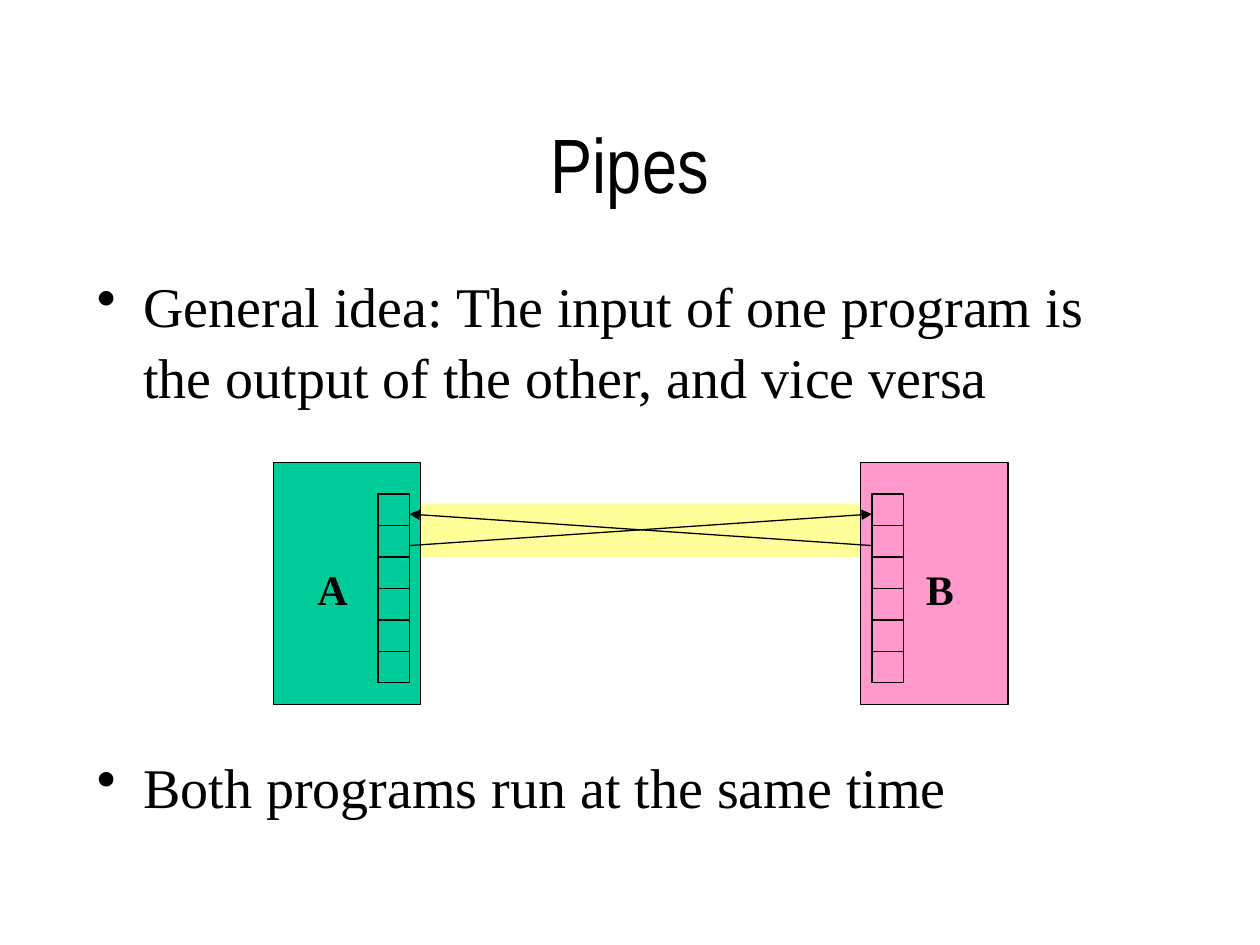
import pptx
import pptx.util
import pptx.dml.color
import pptx.enum.shapes
import pptx.enum.text
import pptx.oxml.ns
import lxml.etree

Inches, Pt = pptx.util.Inches, pptx.util.Pt
qn = pptx.oxml.ns.qn

COLORS = {"ink": "000000", "pipe": "FFFF99", "a": "00CC99", "b": "FF99CC"}
SERIF, NARROW = "Times New Roman", "Arial Narrow"

TITLE = "Pipes"
# text, space before in points; the second point sits below the diagram
POINTS = [
    ("General idea: The input of one program is the output of the other, and vice versa", 8),
    ("Both programs run at the same time", 194),
]
# name, colour, box left, label left, descriptor table left
PROGRAMS = [
    ("A", "a", 2.17, 2.42, 3.0),
    ("B", "b", 6.83, 7.25, 6.92),
]
CELL, CELL_COUNT, TABLE_TOP = 0.25, 6, 3.92
READ_Y, WRITE_Y = 4.08, 4.33


def rgb(name):
    return pptx.dml.color.RGBColor.from_string(COLORS[name])


def add_run(paragraph, text, size, font, bold=False):
    run = paragraph.add_run()
    run.text = text
    run.font.size, run.font.name, run.font.bold = Pt(size), font, bold
    run.font.color.rgb = rgb("ink")


def add_text_frame(left, top, width, height):
    frame = slide.shapes.add_textbox(*map(Inches, (left, top, width, height))).text_frame
    frame.word_wrap = True
    return frame


def add_rect(shapes, left, top, width, height, fill=None, outlined=True):
    rect = shapes.add_shape(pptx.enum.shapes.MSO_SHAPE.RECTANGLE,
                            *map(Inches, (left, top, width, height)))
    rect.shadow.inherit = False
    if fill:
        rect.fill.solid()
        rect.fill.fore_color.rgb = rgb(fill)
    else:
        rect.fill.background()
    if outlined:
        rect.line.color.rgb = rgb("ink")
        rect.line.width = Pt(0.75)
    else:
        rect.line.fill.background()


def add_line(shapes, x1, y1, x2, y2, arrow=False):
    line = shapes.add_connector(pptx.enum.shapes.MSO_CONNECTOR.STRAIGHT,
                                *map(Inches, (x1, y1, x2, y2)))
    line.line.color.rgb = rgb("ink")
    line.line.width = Pt(0.75)
    if arrow:
        lxml.etree.SubElement(line.line._get_or_add_ln(), qn("a:tailEnd"), type="triangle")
    lxml.etree.SubElement(line._element.spPr, qn("a:effectLst"))


def add_bullet(paragraph):
    properties = paragraph._p.get_or_add_pPr()
    properties.set("marL", str(Inches(0.37)))
    properties.set("indent", str(Inches(-0.37)))
    lxml.etree.SubElement(properties, qn("a:buChar"), char="•")


def add_descriptor_table(left):
    table = slide.shapes.add_group_shape().shapes
    add_rect(table, left, TABLE_TOP, CELL, CELL * CELL_COUNT)
    for row in range(1, CELL_COUNT):
        y = TABLE_TOP + row * CELL
        add_line(table, left, y, left + CELL, y)


presentation = pptx.Presentation()
presentation.slide_width, presentation.slide_height = Inches(10), Inches(7.5)
slide = presentation.slides.add_slide(presentation.slide_layouts[5])

add_rect(slide.shapes, 3.33, 4, 3.5, 0.42, "pipe", outlined=False)

title = slide.shapes.title
title.left, title.top, title.width, title.height = map(Inches, (0.75, 0.67, 8.5, 1.25))
title.text_frame.vertical_anchor = pptx.enum.text.MSO_ANCHOR.MIDDLE
heading = title.text_frame.paragraphs[0]
heading.alignment = pptx.enum.text.PP_ALIGN.CENTER
add_run(heading, TITLE, 44, NARROW)

body = add_text_frame(0.67, 2.08, 8.5, 4.67)
for index, (text, space_before) in enumerate(POINTS):
    point = body.add_paragraph() if index else body.paragraphs[0]
    point.space_before = Pt(space_before)
    point.line_spacing = 1.05
    add_bullet(point)
    add_run(point, text, 32, SERIF)

for name, color, box_left, label_left, table_left in PROGRAMS:
    add_rect(slide.shapes, box_left, 3.67, 1.17, 1.92, color)
    label = add_text_frame(label_left, 4.42, 1.08, 0.5)
    add_run(label.paragraphs[0], name, 24, SERIF, bold=True)
    add_descriptor_table(table_left)

a_edge, b_edge = PROGRAMS[0][-1] + CELL, PROGRAMS[1][-1]
for writer, reader in ((a_edge, b_edge), (b_edge, a_edge)):
    add_line(slide.shapes, writer, WRITE_Y, reader, READ_Y, arrow=True)

presentation.save("out.pptx")
